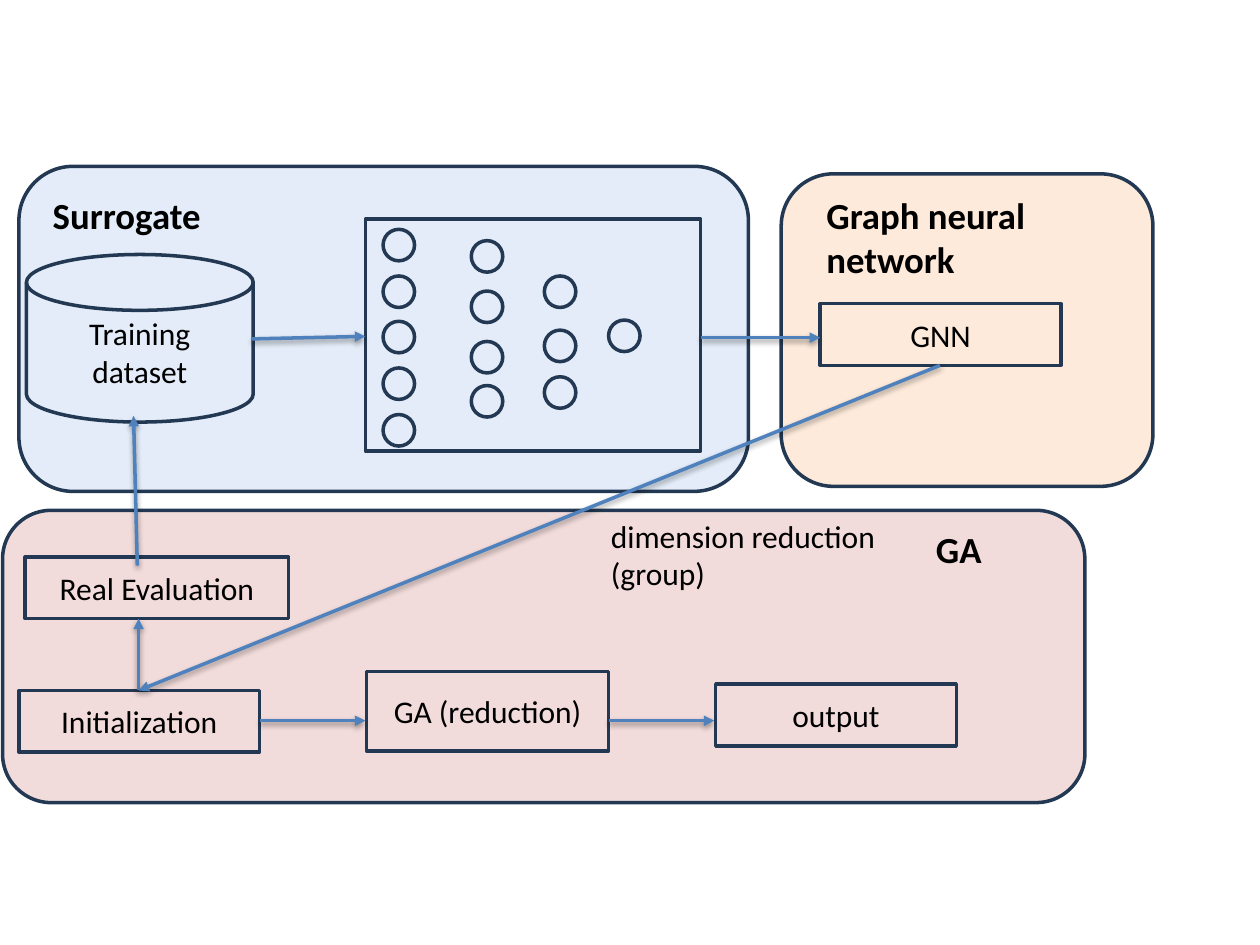
from pptx import Presentation
from pptx.dml.color import RGBColor
from pptx.enum.shapes import MSO_CONNECTOR, MSO_SHAPE
from pptx.enum.text import MSO_ANCHOR, PP_ALIGN
from pptx.oxml.ns import qn
from pptx.util import Pt
from lxml.etree import SubElement

PX = 9144
NAVY = RGBColor(0x23, 0x39, 0x53)
BLUE = RGBColor(0x4F, 0x81, 0xBD)
BLACK = RGBColor(0, 0, 0)
PALE_BLUE = RGBColor(0xE3, 0xEC, 0xF8)
PALE_ORANGE = RGBColor(0xFD, 0xEA, 0xDA)
PALE_RED = RGBColor(0xF2, 0xDC, 0xDB)


def place(origin, box):
    """Turn a box relative to an origin into EMU lengths."""
    left, top, width, height = box
    return [value * PX for value in (origin[0] + left, origin[1] + top, width, height)]


def write(text_frame, text, size, bold=False, alignment=PP_ALIGN.LEFT):
    """Fill a text frame and format its runs."""
    text_frame.word_wrap = True
    text_frame.text = text
    for paragraph in text_frame.paragraphs:
        paragraph.alignment = alignment
        for run in paragraph.runs:
            run.font.name = "Calibri"
            run.font.size = Pt(size)
            run.font.bold = bold
            run.font.color.rgb = BLACK


def add_outline(slide, kind, origin, box, text="", fill=None):
    """Add a navy outlined shape with optional centred text and fill."""
    shape = slide.shapes.add_shape(kind, *place(origin, box))
    shape.shadow.inherit = False
    if fill is None:
        shape.fill.background()
    else:
        shape.fill.solid()
        shape.fill.fore_color.rgb = fill
    shape.line.color.rgb = NAVY
    shape.line.width = Pt(2)
    if text:
        shape.text_frame.vertical_anchor = MSO_ANCHOR.MIDDLE
        write(shape.text_frame, text, 18, alignment=PP_ALIGN.CENTER)


def add_panel(slide, box, fill):
    """Add the rounded background of a region."""
    add_outline(slide, MSO_SHAPE.ROUNDED_RECTANGLE, (0, 0), box, fill=fill)


def add_label(slide, origin, box, text, size=21, bold=True):
    """Add a text box, by default a region title."""
    label = slide.shapes.add_textbox(*place(origin, box))
    write(label.text_frame, text, size, bold)


def add_arrow(slide, origin, start, end):
    """Add a straight arrow that keeps the theme's soft shadow."""
    x, y = origin[:2]
    points = [x + start[0], y + start[1], x + end[0], y + end[1]]
    arrow = slide.shapes.add_connector(
        MSO_CONNECTOR.STRAIGHT, *[value * PX for value in points])
    arrow.line.color.rgb = BLUE
    arrow.line.width = Pt(2)
    SubElement(arrow.line._get_or_add_ln(), qn("a:tailEnd"), type="triangle")


def add_network(slide, box):
    """Draw the framed layers of neurons."""
    add_outline(slide, MSO_SHAPE.RECTANGLE, (0, 0), box)
    layers = {14: (8, 45, 81, 118, 155), 84: (17, 57, 97, 132),
              142: (45, 88, 125), 193: (80,)}
    for left, tops in layers.items():
        for top in tops:
            add_outline(slide, MSO_SHAPE.OVAL, box, (left, top, 25, 25))


def add_surrogate(slide, box):
    """Draw the surrogate region with its dataset and network."""
    add_panel(slide, box, PALE_BLUE)
    add_label(slide, box, (17, 16, 211, 45), "Surrogate")
    add_outline(slide, MSO_SHAPE.FLOWCHART_MAGNETIC_DISK, box,
                (6, 70, 180, 133), "Training dataset")
    add_network(slide, (box[0] + 275, box[1] + 42, 266, 184))
    add_arrow(slide, box, (185, 137), (275, 135))


def add_graph_network(slide, box):
    """Draw the graph neural network region."""
    add_panel(slide, box, PALE_ORANGE)
    add_label(slide, box, (26, 10, 269, 81), "Graph neural network")
    add_outline(slide, MSO_SHAPE.RECTANGLE, box, (31, 103, 191, 49), "GNN")


def add_genetic_algorithm(slide, box):
    """Draw the genetic algorithm region and its steps."""
    add_panel(slide, box, PALE_RED)
    add_label(slide, box, (731, 8, 157, 45), "GA")
    add_label(slide, box, (473, 0, 240, 101),
              "dimension reduction\n(group)", 18, False)
    steps = {"Initialization": (13, 143, 191, 49),
             "Real Evaluation": (18, 37, 209, 49),
             "GA (reduction)": (289, 128, 192, 63),
             "output": (566, 138, 191, 49)}
    for text, step_box in steps.items():
        add_outline(slide, MSO_SHAPE.RECTANGLE, box, step_box, text)
    add_arrow(slide, box, (108, 143), (108, 86))
    for left in (204, 481):
        add_arrow(slide, box, (left, 167), (left + 84, 167))


def add_links(slide, origin):
    """Draw the arrows that cross from one region to another."""
    add_arrow(slide, origin, (109, 449), (106, 330))
    add_arrow(slide, origin, (556, 268), (651, 268))
    add_arrow(slide, origin, (746, 290), (110, 548))


def main():
    """Build the slide and save it."""
    presentation = Presentation()
    presentation.slide_width = 1000 * PX
    presentation.slide_height = 750 * PX
    slide = presentation.slides.add_slide(presentation.slide_layouts[6])
    add_graph_network(slide, (620, 138, 295, 248))
    add_genetic_algorithm(slide, (2, 405, 859, 232))
    add_surrogate(slide, (15, 132, 579, 258))
    add_links(slide, (0, 0))
    presentation.save("out.pptx")


if __name__ == "__main__":
    main()
